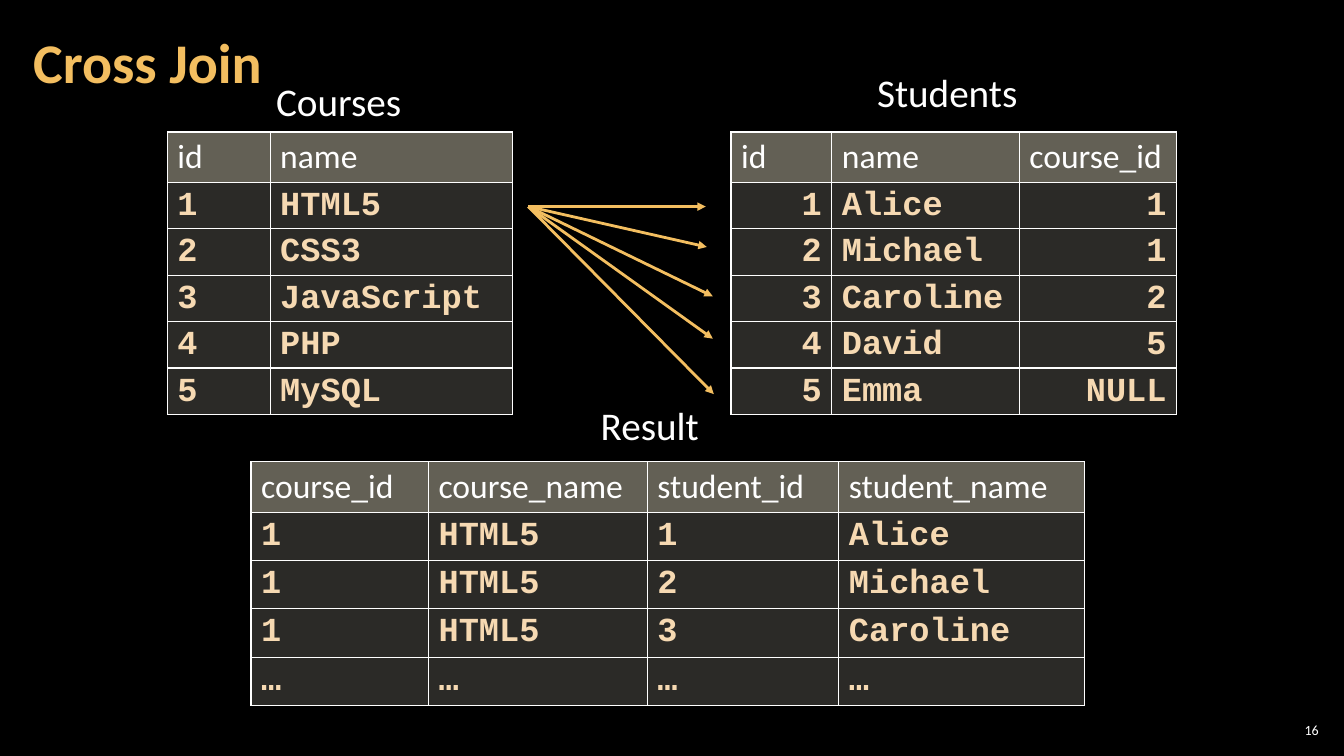
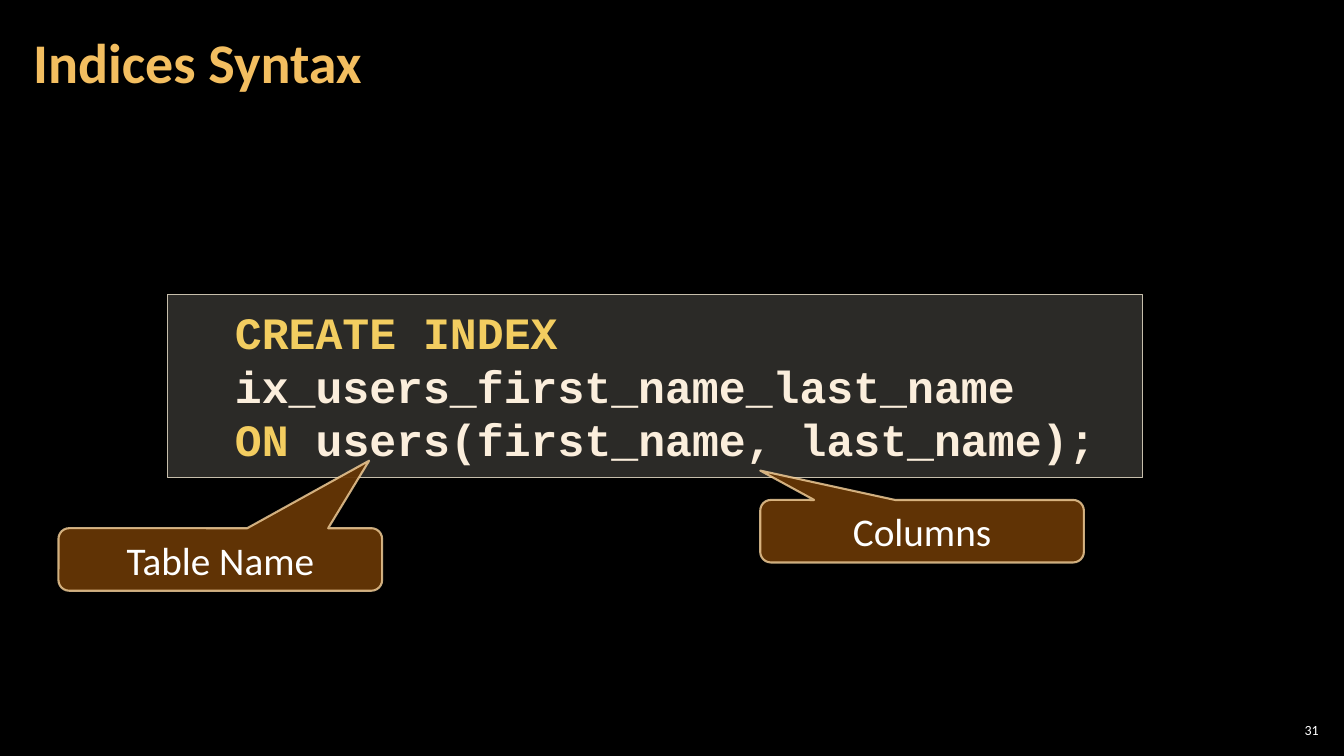
"""Build two database slides: a cross join and the syntax of an index."""
from collections import namedtuple
from dataclasses import dataclass

from lxml import etree
from pptx import Presentation
from pptx import util as u
from pptx.dml import color
from pptx.enum import shapes, text
from pptx.oxml import ns

Box = namedtuple("Box", "left top width height")


@dataclass(frozen=True)
class Theme:
    """Colours, fonts and type sizes of the deck."""
    background: str = "000000"
    white: str = "FFFFFF"
    accent: str = "F3BE60"
    keyword: str = "F3CD60"
    code: str = "FBEEDC"
    cell_text: str = "F6D9B2"
    header_fill: str = "C6C0AA"
    panel_fill: str = "D9D5C7"
    panel_line: str = "C7BFAC"
    callout_fill: str = "663606"
    callout_line: str = "F8D49E"
    body_font: str = "Calibri"
    code_font: str = "Courier New"
    title_size: int = 40
    code_size: int = 32
    label_size: int = 28
    table_size: int = 24
    number_size: int = 10


THEME = Theme()
LEFT, CENTER, RIGHT = (text.PP_ALIGN.LEFT, text.PP_ALIGN.CENTER,
                       text.PP_ALIGN.RIGHT)
MIDDLE = text.MSO_ANCHOR.MIDDLE
HEADER_HEIGHT = 0.5


def inches(values):
    """Convert numbers to lengths in inches."""
    return [u.Inches(value) for value in values]


def apply(target, values):
    """Set the attributes of an object from a dict."""
    for name, value in values.items():
        setattr(target, name, value)


def add_child(parent, tag, **attributes):
    """Append a drawing element to an XML parent."""
    return etree.SubElement(parent, ns.qn(tag), attributes)


def paint(fill, colour, opacity=100):
    """Fill with a solid colour of the given opacity in percent."""
    fill.solid()
    fill.fore_color.rgb = color.RGBColor.from_string(colour)
    if opacity < 100:
        for element in fill._xPr.iter(ns.qn("a:srgbClr")):
            add_child(element, "a:alpha", val=str(opacity * 1000))


def outline(line, colour, width, opacity=100):
    """Give a line its colour, width and opacity."""
    paint(line.fill, colour, opacity)
    line.width = u.Pt(width)


def write(para, spans, size, font=THEME.body_font, bold=False, align=LEFT,
          spacing=1.0):
    """Write (words, colour) spans into a paragraph."""
    apply(para, {"alignment": align, "line_spacing": spacing})
    for words, colour in spans:
        span = para.add_run()
        span.text = words
        apply(span.font, {"name": font, "size": u.Pt(size), "bold": bold})
        span.font.color.rgb = color.RGBColor.from_string(colour)


def set_frame(frame, margins=(0.1, 0.05), **values):
    """Set the margins and other properties of a text frame."""
    across, down = inches(margins)
    apply(frame, {"margin_left": across, "margin_right": across,
                  "margin_top": down, "margin_bottom": down,
                  "word_wrap": True, **values})


def add_text(page, box, words, size, colour, frame_values, **style):
    """Add a text box with one paragraph."""
    frame = page.shapes.add_textbox(*inches(box)).text_frame
    set_frame(frame, **frame_values)
    write(frame.paragraphs[0], [(words, colour)], size, **style)


def add_panel(page, kind, box, fill, line):
    """Add a filled and outlined shape without a shadow."""
    panel = page.shapes.add_shape(kind, *inches(box))
    panel.shadow.inherit = False
    paint(panel.fill, *fill)
    outline(panel.line, *line)
    return panel


def add_page(deck, title, number):
    """Add a blank page with its title and page number."""
    page = deck.slides.add_slide(deck.slide_layouts[6])
    add_text(page, Box(0.21, 0.04, 10.47, 1.21), title, THEME.title_size,
             THEME.accent,
             {"margins": (0.12, 0.04), "vertical_anchor": MIDDLE},
             bold=True, spacing=0.9)
    add_text(page, Box(12.65, 7.14, 0.47, 0.21), str(number),
             THEME.number_size, THEME.white,
             {"margins": (0.04, 0.04), "vertical_anchor": MIDDLE},
             align=RIGHT)
    return page


def style_cell(cell, words, is_header, align):
    """Write, fill and border one table cell."""
    para = cell.text_frame.paragraphs[0]
    if is_header:
        write(para, [(words, THEME.white)], THEME.table_size)
        paint(cell.fill, THEME.header_fill, 50)
    else:
        write(para, [(words, THEME.cell_text)], THEME.table_size,
              THEME.code_font, True, align, 0.95)
        paint(cell.fill, THEME.panel_fill, 20)
        cell.margin_bottom = u.Inches(0.03)
    properties = cell._tc.get_or_add_tcPr()
    for place, side in enumerate("LRTB"):
        border = add_child(properties, f"a:ln{side}", w=str(u.Pt(1)))
        fill = add_child(border, "a:solidFill")
        add_child(fill, "a:srgbClr", val=THEME.white)
        properties.insert(place, border)


def add_labelled_table(page, box, label, label_box, widths, rows,
                       right_columns=()):
    """Add a table and its label, placed relative to the table's corner."""
    label_place = Box(box.left + label_box.left, box.top + label_box.top,
                      label_box.width, label_box.height)
    add_text(page, label_place, label, THEME.label_size, THEME.white,
             {"word_wrap": False})
    table = page.shapes.add_table(len(rows), len(widths),
                                  *inches(box)).table
    table.horz_banding = False
    for column, width in zip(table.columns, widths):
        column.width = u.Inches(width)
    body_height = (box.height - HEADER_HEIGHT) / (len(rows) - 1)
    for index, values in enumerate(rows):
        table.rows[index].height = u.Inches(
            body_height if index else HEADER_HEIGHT)
        for place, words in enumerate(values):
            align = RIGHT if place in right_columns else LEFT
            style_cell(table.cell(index, place), words, index == 0, align)


def add_arrow_fan(page, start, ends):
    """Draw arrows from one start to several ends."""
    for end in ends:
        arrow = page.shapes.add_connector(shapes.MSO_CONNECTOR.STRAIGHT,
                                          *inches(start + end))
        outline(arrow.line, THEME.accent, 2)
        add_child(arrow.line._get_or_add_ln(), "a:tailEnd", type="triangle")
        add_child(arrow._element.spPr, "a:effectLst")


def add_code(page, box, lines):
    """Add a code panel whose lines hold coloured spans."""
    panel = add_panel(page, shapes.MSO_SHAPE.RECTANGLE, box,
                      (THEME.panel_fill, 20), (THEME.panel_line, 1))
    frame = panel.text_frame
    set_frame(frame, (0, 0.1), vertical_anchor=text.MSO_ANCHOR.TOP)
    for index, spans in enumerate(lines):
        para = frame.add_paragraph() if index else frame.paragraphs[0]
        para._p.get_or_add_pPr().set("marL", str(u.Inches(0.67)))
        write(para, spans, THEME.code_size, THEME.code_font, True)


def add_callout(page, box, words, tip):
    """Add a rounded callout pointing at a tip relative to its centre."""
    callout = add_panel(page, shapes.MSO_SHAPE.ROUNDED_RECTANGULAR_CALLOUT,
                        box, (THEME.callout_fill, 95),
                        (THEME.callout_line, 1.5, 80))
    for index, value in enumerate((*tip, 0.17)):
        callout.adjustments[index] = value
    set_frame(callout.text_frame, vertical_anchor=MIDDLE)
    write(callout.text_frame.paragraphs[0], [(words, THEME.white)],
          THEME.label_size, align=CENTER)


def build_cross_join(deck):
    """Build the slide about the cross join."""
    page = add_page(deck, "Cross Join", 16)
    courses = ["HTML5", "CSS3", "JavaScript", "PHP", "MySQL"]
    students = [("Alice", "1"), ("Michael", "1"), ("Caroline", "2"),
                ("David", "5"), ("Emma", "NULL")]
    add_labelled_table(
        page, Box(1.66, 1.31, 3.42, 2.8), "Courses",
        Box(0.98, -0.59, 1.46, 0.57), (1.02, 2.4),
        [("id", "name")]
        + [(str(key), name) for key, name in enumerate(courses, 1)])
    add_labelled_table(
        page, Box(7.25, 1.31, 4.42, 2.8), "Students",
        Box(1.35, -0.68, 1.61, 0.57), (1, 1.86, 1.56),
        [("id", "name", "course_id")]
        + [(str(key), *student) for key, student in enumerate(students, 1)],
        right_columns=(0, 2))
    add_labelled_table(
        page, Box(2.49, 4.58, 8.26, 2.42), "Result",
        Box(3.37, -0.65, 1.19, 0.57), (1.76, 2.17, 1.9, 2.44),
        [("course_id", "course_name", "student_id", "student_name")]
        + [("1", courses[0], str(key), name)
           for key, (name, _) in enumerate(students[:3], 1)]
        + [("…",) * 4])
    add_arrow_fan(page, (5.24, 2.05),
                  [(7, 2.05), (7.01, 2.45), (7.07, 2.94), (7.07, 3.36),
                   (7.08, 3.91)])


def build_index_syntax(deck):
    """Build the slide about the syntax of indices."""
    page = add_page(deck, "Indices Syntax", 31)
    add_code(page, Box(1.66, 2.92, 9.67, 1.82), [
        [("CREATE INDEX", THEME.keyword),
         (" ix_users_first_name_last_name", THEME.code)],
        [("ON", THEME.keyword),
         (" users(first_name, last_name);", THEME.code)]])
    add_callout(page, Box(0.58, 5.24, 3.21, 0.62), "Table Name",
                (0.46, -1.58))
    add_callout(page, Box(7.54, 4.96, 3.21, 0.62), "Columns",
                (-0.5, -0.97))


def main():
    """Build and save the deck."""
    deck = Presentation()
    apply(deck, {"slide_width": u.Inches(13.33),
                 "slide_height": u.Inches(7.5)})
    paint(deck.slide_master.background.fill, THEME.background)
    build_cross_join(deck)
    build_index_syntax(deck)
    deck.save("out.pptx")


if __name__ == "__main__":
    main()
